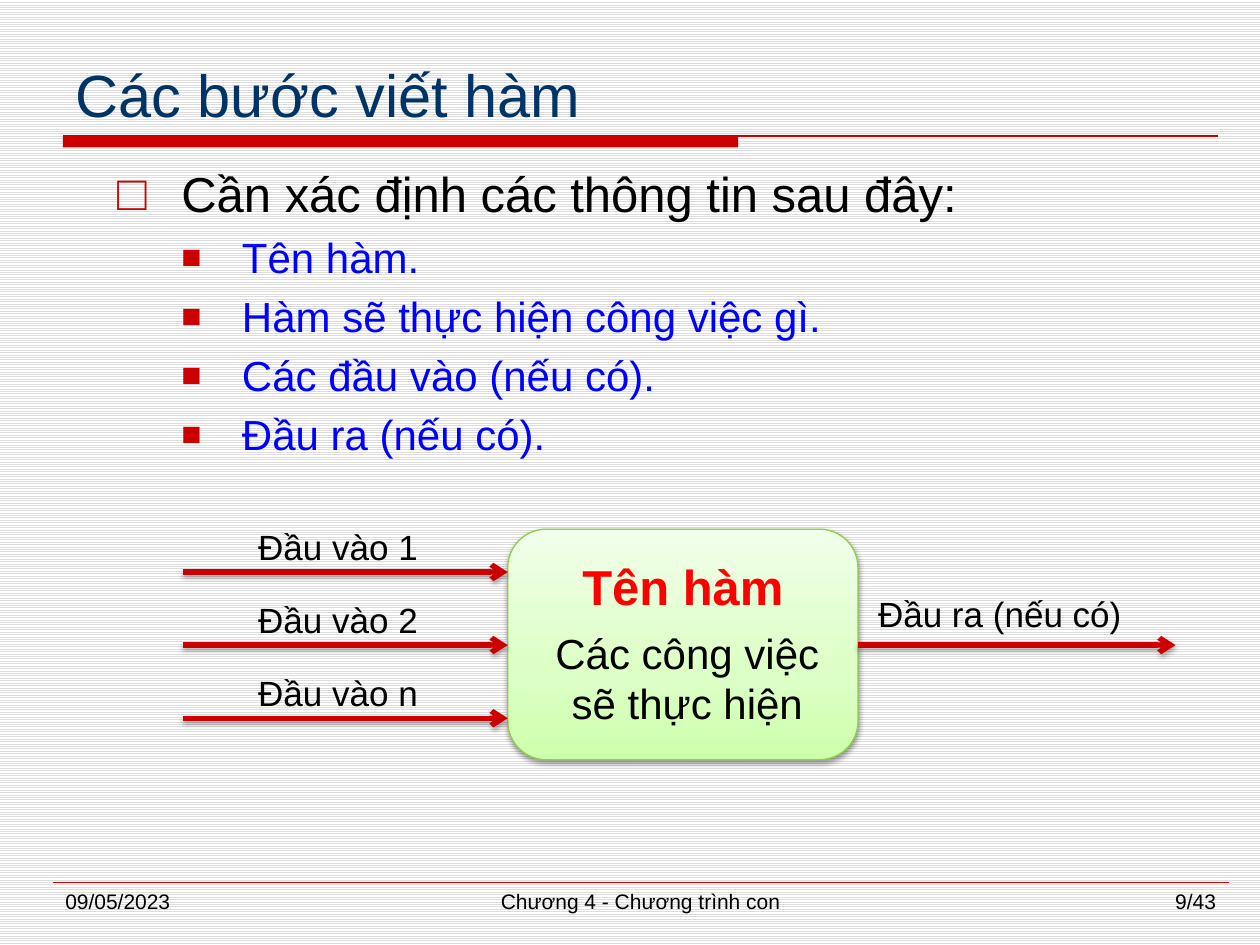
from copy import deepcopy
from dataclasses import dataclass

from lxml import etree
from pptx import Presentation
from pptx.dml.color import RGBColor
from pptx.enum.dml import MSO_PATTERN
from pptx.enum.shapes import MSO_CONNECTOR, MSO_SHAPE
from pptx.enum.text import MSO_ANCHOR, MSO_AUTO_SIZE, PP_ALIGN
from pptx.oxml.ns import qn
from pptx.util import Emu, Pt

PX = 9144
FONT = "Arial"
RED = RGBColor(0xCC, 0x00, 0x00)
BRIGHT_RED = RGBColor(0xFF, 0x00, 0x00)
NAVY = RGBColor(0x00, 0x33, 0x66)
BLUE = RGBColor(0x00, 0x00, 0xFF)
BLACK = RGBColor(0x00, 0x00, 0x00)
WHITE = RGBColor(0xFF, 0xFF, 0xFF)
STRIPE = RGBColor(0xDD, 0xDD, 0xDD)
GREEN_LINE = RGBColor(0x8F, 0xCF, 0x4B)
GREEN_STOPS = (
    (0, RGBColor(0xCE, 0xFF, 0xAC)),
    (0.35, RGBColor(0xDB, 0xFF, 0xC4)),
    (1, RGBColor(0xF1, 0xFF, 0xE9)),
)
LEFT, CENTER, RIGHT, JUSTIFY = PP_ALIGN.LEFT, PP_ALIGN.CENTER, PP_ALIGN.RIGHT, PP_ALIGN.JUSTIFY
TOP, BOTTOM = MSO_ANCHOR.TOP, MSO_ANCHOR.BOTTOM
NO_AUTOFIT = MSO_AUTO_SIZE.NONE
STRAIGHT = MSO_CONNECTOR.STRAIGHT
RECTANGLE, ROUNDED = MSO_SHAPE.RECTANGLE, MSO_SHAPE.ROUNDED_RECTANGLE
LIGHT_HORIZONTAL = MSO_PATTERN.LIGHT_HORIZONTAL


@dataclass(frozen=True)
class Area:
    left: int
    top: int
    width: int
    height: int

    def emu(self) -> list[Emu]:
        return [Emu(value * PX) for value in (self.left, self.top, self.width, self.height)]


@dataclass(frozen=True)
class Label:
    lines: tuple[str, ...]
    area: Area
    size: int = 20
    align: PP_ALIGN = LEFT
    wrap: bool = False


@dataclass(frozen=True)
class Arrow:
    start: int
    end: int
    y: int


@dataclass(frozen=True)
class ListStyle:
    level: int
    size: int
    color: RGBColor
    margin: int
    hanging: int
    bullet: str
    bullet_size: int


HEADING = ListStyle(0, 28, BLACK, 51, 51, "□", 100)
DETAIL = ListStyle(1, 24, BLUE, 99, 48, "■", 80)
BODY_ITEMS = (
    ("Cần xác định các thông tin sau đây:", HEADING),
    ("Tên hàm.", DETAIL),
    ("Hàm sẽ thực hiện công việc gì.", DETAIL),
    ("Các đầu vào (nếu có).", DETAIL),
    ("Đầu ra (nếu có).", DETAIL),
)
INPUTS = ("Đầu vào 1", "Đầu vào 2", "Đầu vào n")
INPUT_PITCH = 58
LABELS = (
    Label(("Đầu ra (nếu có)",), Area(687, 465, 215, 44)),
    Label(("Các công việc", "sẽ thực hiện"), Area(429, 493, 233, 91), 24, CENTER, True),
    Label(("09/05/2023",), Area(42, 700, 217, 35), 12, LEFT, True),
    Label(("Chương 4 - Chương trình con",), Area(292, 700, 433, 35), 12, CENTER, True),
    Label(("9/43",), Area(758, 700, 217, 35), 12, RIGHT, True),
)


def apply(target: object, values: dict) -> None:
    for name, value in values.items():
        setattr(target, name, value)


def style_font(font, size: int, color: RGBColor, bold: bool = False) -> None:
    apply(font, {"name": FONT, "size": Pt(size), "bold": bold})
    font.color.rgb = color


def move(shape, area: Area) -> None:
    apply(shape, dict(zip(("left", "top", "width", "height"), area.emu())))


def cast_shadow(properties, distance: int, opacity: int) -> None:
    effects = properties.find(qn("a:effectLst"))
    if effects is None:
        effects = etree.SubElement(properties, qn("a:effectLst"))
    shadow = etree.SubElement(
        effects, qn("a:outerShdw"), blurRad="40000", dist=str(distance), dir="5400000", rotWithShape="0"
    )
    color = etree.SubElement(shadow, qn("a:srgbClr"), val=str(BLACK))
    etree.SubElement(color, qn("a:alpha"), val=str(opacity * 1000))


def draw_line(slide, start: int, end: int, y: int, weight: float):
    line = slide.shapes.add_connector(STRAIGHT, start * PX, y * PX, end * PX, y * PX)
    line.line.color.rgb = RED
    line.line.width = Pt(weight)
    etree.SubElement(line._element.spPr, qn("a:effectLst"))
    return line


def draw_arrow(slide, arrow: Arrow) -> None:
    line = draw_line(slide, arrow.start, arrow.end, arrow.y, 3)
    etree.SubElement(line.line._get_or_add_ln(), qn("a:tailEnd"), type="arrow")
    cast_shadow(line._element.spPr, 23000, 35)


def draw_label(slide, label: Label) -> None:
    box = slide.shapes.add_textbox(*label.area.emu())
    frame = box.text_frame
    frame.word_wrap = label.wrap
    frame.text = "\n".join(label.lines)
    for para in frame.paragraphs:
        para.alignment = label.align
        style_font(para.font, label.size, BLACK)


def fill_title(title) -> None:
    move(title, Area(50, 33, 917, 75))
    frame = title.text_frame
    apply(frame, {"text": "Các bước viết hàm", "vertical_anchor": BOTTOM, "auto_size": NO_AUTOFIT})
    para = frame.paragraphs[0]
    para.alignment = LEFT
    style_font(para.font, 34, NAVY)


def fill_body(body) -> None:
    move(body, Area(83, 125, 867, 567))
    frame = body.text_frame
    apply(frame, {"text": "\n".join(text for text, _ in BODY_ITEMS), "auto_size": NO_AUTOFIT})
    for index, (para, (_, style)) in enumerate(zip(frame.paragraphs, BODY_ITEMS)):
        apply(para, {"level": style.level, "alignment": JUSTIFY, "space_before": Pt(5 if index else 0)})
        properties = para._p.get_or_add_pPr()
        properties.set("marL", str(style.margin * PX))
        properties.set("indent", str(-style.hanging * PX))
        color = etree.SubElement(properties, qn("a:buClr"))
        etree.SubElement(color, qn("a:srgbClr"), val=str(RED))
        etree.SubElement(properties, qn("a:buSzPct"), val=str(style.bullet_size * 1000))
        etree.SubElement(properties, qn("a:buFont"), typeface=FONT)
        etree.SubElement(properties, qn("a:buChar"), char=style.bullet)
        style_font(para.font, style.size, style.color)


def draw_rule(slide) -> None:
    bar = slide.shapes.add_shape(RECTANGLE, *Area(50, 108, 536, 9).emu())
    bar.shadow.inherit = False
    bar.fill.solid()
    bar.fill.fore_color.rgb = RED
    bar.line.fill.background()
    draw_line(slide, 50, 967, 108, 1.5)


def draw_function_box(slide) -> None:
    box = slide.shapes.add_shape(ROUNDED, *Area(403, 420, 278, 183).emu())
    box.adjustments[0] = 0.167
    box.shadow.inherit = False
    box.fill.gradient()
    box.fill.gradient_angle = 90
    stop_list = box._element.spPr.find(".//" + qn("a:gsLst"))
    stop_list.append(deepcopy(stop_list[-1]))
    for stop, (position, color) in zip(box.fill.gradient_stops, GREEN_STOPS):
        stop.position = position
        stop.color.rgb = color
    box.line.color.rgb = GREEN_LINE
    box.line.width = Pt(0.75)
    cast_shadow(box._element.spPr, 20000, 38)
    frame = box.text_frame
    apply(frame, {"text": "Tên hàm", "word_wrap": False, "vertical_anchor": TOP, "margin_top": Emu(13 * PX)})
    para = frame.paragraphs[0]
    para.alignment = CENTER
    style_font(para.font, 28, BRIGHT_RED, True)


def main() -> None:
    deck = Presentation()
    apply(deck, {"slide_width": Emu(1000 * PX), "slide_height": Emu(750 * PX)})
    slide = deck.slides.add_slide(deck.slide_layouts[1])
    background = slide.background.fill
    background.patterned()
    background.pattern = LIGHT_HORIZONTAL
    background.fore_color.rgb = STRIPE
    background.back_color.rgb = WHITE
    draw_rule(slide)
    draw_line(slide, 42, 975, 700, 0.25)
    fill_title(slide.shapes.title)
    fill_body(slide.placeholders[1])
    draw_function_box(slide)
    for row, text in enumerate(INPUTS):
        offset = row * INPUT_PITCH
        draw_arrow(slide, Arrow(145, 403, 454 + offset))
        draw_label(slide, Label((text,), Area(195, 412 + offset, 148, 44)))
    draw_arrow(slide, Arrow(681, 933, 512))
    for label in LABELS:
        draw_label(slide, label)
    deck.save("out.pptx")


if __name__ == "__main__":
    main()
